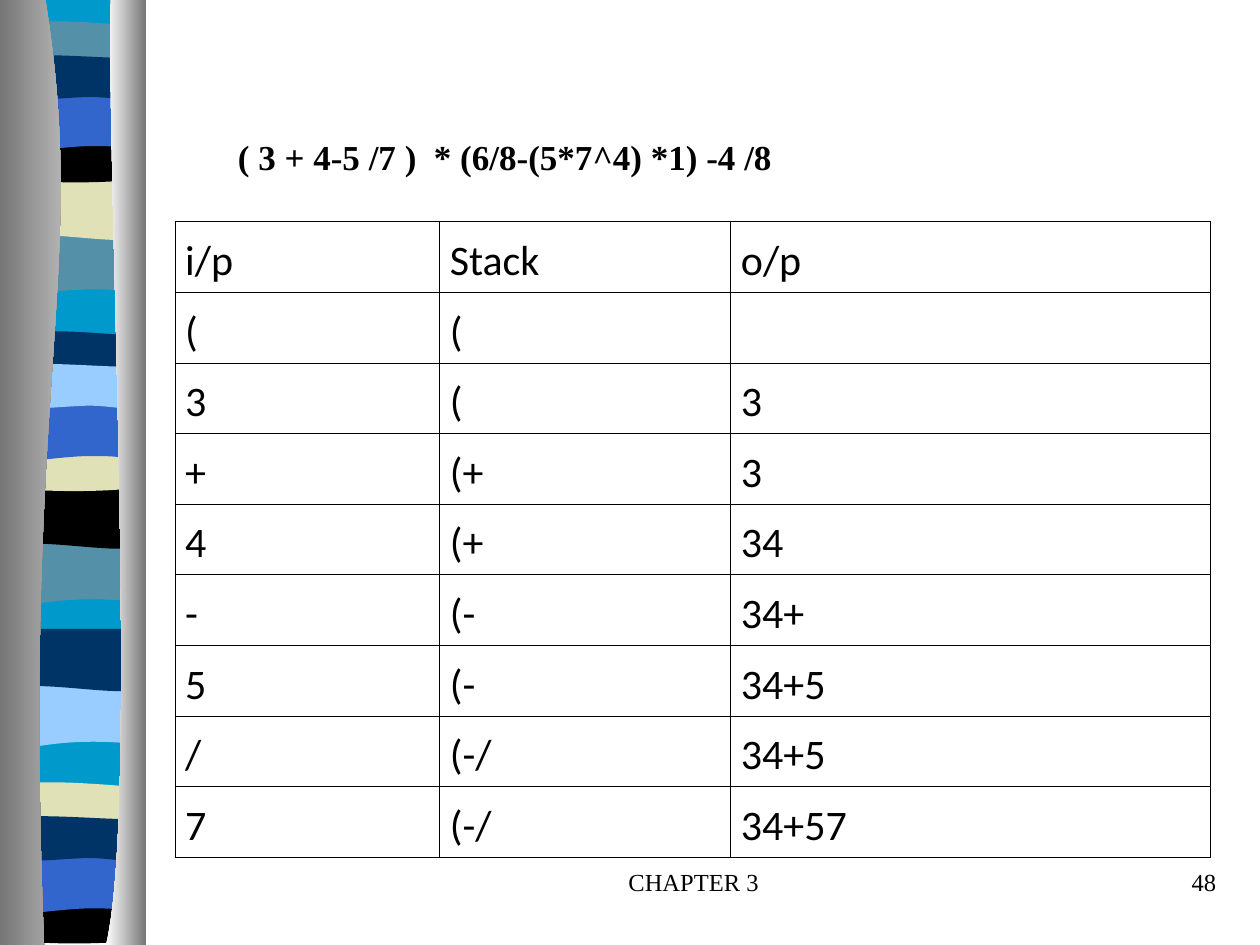
import lxml.etree
import pptx
import pptx.dml.color
import pptx.enum.text
import pptx.oxml.ns
import pptx.util

WIDTH, HEIGHT = 10, 7.5
ALIGN = pptx.enum.text.PP_ALIGN
SERIF, SANS = "Times New Roman", "Calibri"
BLACK, NAVY, BLUE, SKY = "000000", "003366", "3366CC", "0099CC"
PALE, TEAL, SAND = "99CCFF", "5490A8", "E1E1B7"
GREY, SILVER, WHITE = "767676", "D0D0D0", "FFFFFF"

# An outline is a start point, then lines (x, y) and cubic curves (six numbers).
BACKDROP = [(0, 0), (1.08, 0), (1.08, 7.48), (0, 7.48)]
DIP = [(1.08, 0), (1.08, 0.47), (0.33, 0.39, 0.18, 0.55, 0, 0.47), (0, 0)]
SWELL = [(1.08, 0), (1.08, 0.47), (0.9, 0.55, 0.33, 0.41, 0, 0.47), (0, 0)]
RIBBON = [(1.08, 0.05), (1.08, 0.29), (0.9, 0.33, 0.18, 0.33, 0, 0.29), (0, 0.05),
          (0.06, 0, 0.23, 0.01, 0.41, 0.01), (0.59, 0.01, 0.94, 0.04, 1.08, 0.05)]
SAG = [(1.08, 0), (1.08, 0.33), (0.9, 0.38, 0.18, 0.38, 0, 0.33), (0, 0),
       (0.66, 0.05, 0.85, 0, 1.08, 0)]
ARCH = [(1.08, 0), (1.08, 0.47), (0.91, 0.42, 0.84, 0.42, 0.66, 0.42),
        (0.48, 0.42, 0.16, 0.47, 0, 0.47), (0, 0)]
FLAG = [(1.08, 0.05), (1.08, 0.36), (1.01, 0.41, 0.84, 0.36, 0.66, 0.36),
        (0.48, 0.36, 0.11, 0.41, 0, 0.36), (0, 0.05),
        (0.15, 0, 0.73, 0.05, 0.91, 0.05), (1.09, 0.05, 1.04, 0.05, 1.08, 0.05)]
LEFT_CURTAIN = [(0.36, 0), (0.71, 2.17, 0.17, 2.97, 0.35, 7.5), (0, 7.5), (0, 0)]
RIGHT_CURTAIN = [(0.88, 0), (0.84, 1.25, 1.11, 6.46, 0.84, 7.5), (1.16, 7.5), (1.16, 0)]

# Left, top, outline and colour, from back to front.
BANDS = [
    (0.06, -0.01, BACKDROP, SKY),
    (0.06, 1.85, DIP, TEAL), (0.06, 1.41, SWELL, SAND), (0.06, 0.16, RIBBON, TEAL),
    (0.06, 1.08, SAG, BLACK), (0.06, 0.74, ARCH, BLUE), (0.06, 0.41, FLAG, NAVY),
    (0.05, 4.31, DIP, TEAL), (0.05, 3.86, SWELL, BLACK), (0.05, 2.62, RIBBON, NAVY),
    (0.05, 3.53, SAG, SAND), (0.05, 3.2, ARCH, BLUE), (0.05, 2.86, FLAG, PALE),
    (0.06, 5.44, DIP, PALE), (0.06, 4.99, SWELL, NAVY), (0.05, 6.2, RIBBON, SAND),
    (0.05, 7.12, SAG, BLACK), (0.05, 6.79, ARCH, BLUE), (0.05, 6.45, FLAG, NAVY),
]
STEPS = [
    ("i/p", "Stack", "o/p"),
    ("(", "(", ""),
    ("3", "(", "3"),
    ("+", "(+", "3"),
    ("4", "(+", "34"),
    ("-", "(-", "34+"),
    ("5", "(-", "34+5"),
    ("/", "(-/", "34+5"),
    ("7", "(-/", "34+57"),
]


def color(value):
    return pptx.dml.color.RGBColor.from_string(value)


def inches(*lengths):
    return [pptx.util.Inches(length) for length in lengths]


def bend(shape, outline):
    """Join the three lines that stand for each curve into one cubic curve."""
    qn = pptx.oxml.ns.qn
    lines = iter(list(shape._element.iter(qn("a:lnTo"))))
    for segment in outline[1:]:
        line = next(lines)
        if len(segment) == 6:
            curve = lxml.etree.Element(qn("a:cubicBezTo"))
            line.addprevious(curve)
            for control in (line, next(lines), next(lines)):
                curve.append(control[0])
                control.getparent().remove(control)


def add_outline(shapes, left, top, outline):
    points = []
    for segment in outline:
        for x, y in zip(segment[::2], segment[1::2]):
            # The part below the slide's lower edge is cut off.
            points.append(inches(left + x, min(top + y, HEIGHT)))
    builder = shapes.build_freeform(*points[0])
    builder.add_line_segments(points[1:], close=True)
    shape = builder.convert_to_shape()
    bend(shape, outline)
    shape.shadow.inherit = False
    shape.line.fill.background()
    return shape


def add_curtain(shapes, outline, colors):
    fill = add_outline(shapes, 0, 0, outline).fill
    fill.gradient()
    fill.gradient_angle = 0
    for stop, value in zip(fill.gradient_stops, colors):
        stop.color.rgb = color(value)


def add_side_ornament(slide):
    shapes = slide.shapes.add_group_shape().shapes
    for left, top, outline, value in BANDS:
        fill = add_outline(shapes, left, top, outline).fill
        fill.solid()
        fill.fore_color.rgb = color(value)
    add_curtain(shapes, LEFT_CURTAIN, (GREY, SILVER))
    add_curtain(shapes, RIGHT_CURTAIN, (WHITE, GREY))


def add_run(paragraph, text, size, font, bold=False):
    run = paragraph.add_run()
    run.text = text
    run.font.size = pptx.util.Pt(size)
    run.font.name = font
    run.font.bold = bold
    run.font.color.rgb = color(BLACK)


def add_text(slide, box, text, size, align=ALIGN.LEFT, bold=False, wrap=True):
    frame = slide.shapes.add_textbox(*inches(*box)).text_frame
    frame.word_wrap = wrap
    frame.paragraphs[0].alignment = align
    add_run(frame.paragraphs[0], text, size, SERIF, bold)


def add_borders(cell):
    properties = cell._tc.get_or_add_tcPr()
    qn = pptx.oxml.ns.qn
    for side in ("a:lnL", "a:lnR", "a:lnT", "a:lnB"):
        line = lxml.etree.SubElement(properties, qn(side), w=str(pptx.util.Pt(0.45)))
        fill = lxml.etree.SubElement(line, qn("a:solidFill"))
        lxml.etree.SubElement(fill, qn("a:srgbClr"), val=BLACK)


def add_step_table(slide, box, column_widths):
    table = slide.shapes.add_table(len(STEPS), len(column_widths), *inches(*box)).table
    table.first_row = table.horz_banding = False
    for column, width in zip(table.columns, column_widths):
        column.width = pptx.util.Inches(width)
    for row, texts in enumerate(STEPS):
        for column, text in enumerate(texts):
            cell = table.cell(row, column)
            cell.margin_left = cell.margin_right = pptx.util.Inches(0.08)
            add_borders(cell)
            cell.fill.background()
            if text:
                paragraph = cell.text_frame.paragraphs[0]
                paragraph.line_spacing = 1.15
                add_run(paragraph, text, 24, SANS)


def add_footer(slide, top, height):
    add_text(slide, (3.92, top, 3.17, height), "CHAPTER 3", 14, ALIGN.CENTER)
    add_text(slide, (7.67, top, 2.08, height), "48", 14, ALIGN.RIGHT)


def main():
    presentation = pptx.Presentation()
    presentation.slide_width, presentation.slide_height = inches(WIDTH, HEIGHT)
    slide = presentation.slides.add_slide(presentation.slide_layouts[6])
    add_side_ornament(slide)
    add_footer(slide, 6.83, 0.5)
    add_text(slide, (1.79, 1.03, 4.44, 0.44),
             "( 3 + 4-5 /7 )  * (6/8-(5*7^4) *1) -4 /8", 20, bold=True, wrap=False)
    add_step_table(slide, (1.39, 1.76, 8.22, 4.96), (2.1, 2.31, 3.81))
    presentation.save("out.pptx")


if __name__ == "__main__":
    main()
